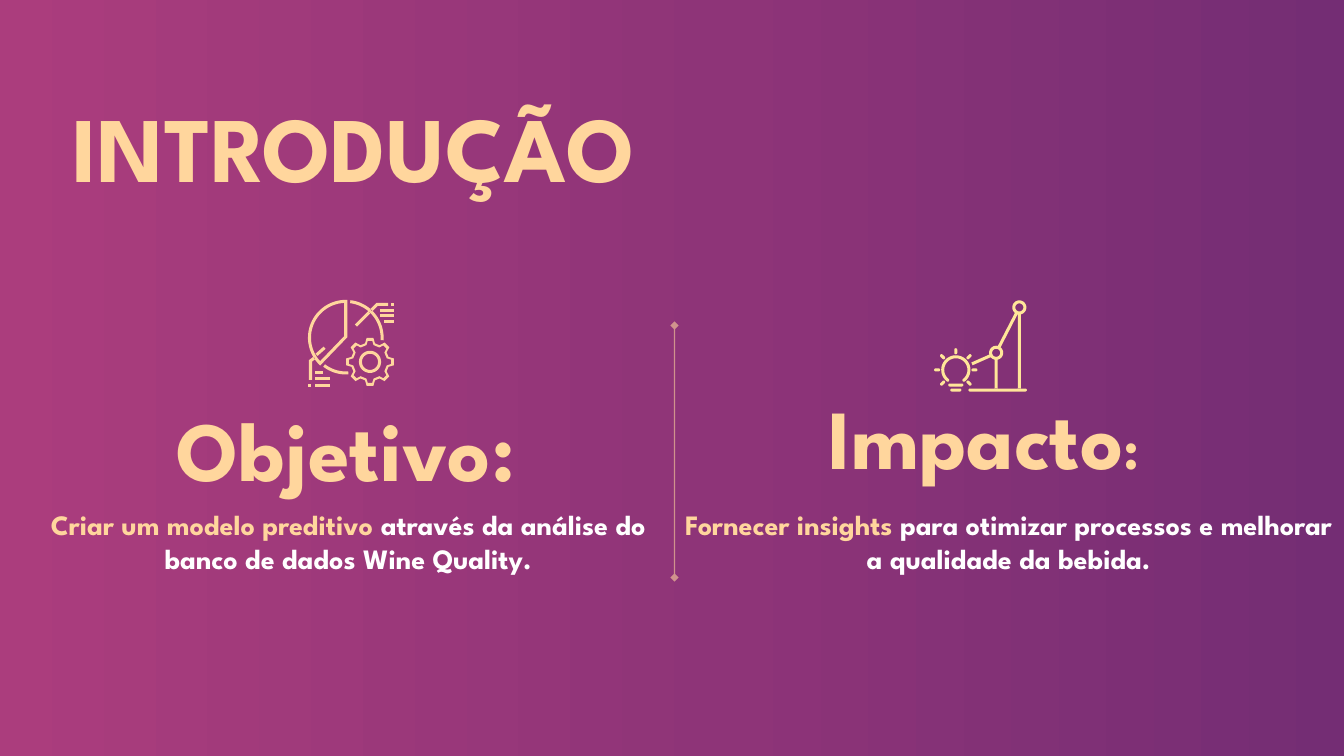
"""Build the introduction slide with its goal and impact columns."""
from copy import deepcopy
from dataclasses import dataclass
from math import cos, hypot, pi, radians, sin, atan2

from lxml.etree import SubElement
from pptx import Presentation
from pptx.dml.color import RGBColor
from pptx.enum.shapes import MSO_CONNECTOR
from pptx.enum.text import MSO_ANCHOR, MSO_AUTO_SIZE, PP_ALIGN
from pptx.oxml.ns import qn
from pptx.util import Inches, Pt

Point = tuple[float, float]
Contour = list[Point]


@dataclass(frozen=True)
class Theme:
    font: str = "League Spartan"
    gold: str = "FFD69D"
    lemon: str = "FFE699"
    white: str = "FFFFFF"
    gradient: tuple = ((0, "AB3D7D"), (0.54, "8E3478"), (1, "742D74"))
    title: int = 66
    heading: int = 60
    colon: int = 40
    body: int = 20
    stroke: float = 0.03


@dataclass(frozen=True)
class Span:
    text: str
    size: int
    color: str


@dataclass(frozen=True)
class TextBlock:
    left: float
    top: float
    width: float
    height: float
    spans: tuple[Span, ...]
    spacing: float = 1.0


THEME = Theme()
TITLE = TextBlock(0.62, 0.97, 12.06, 1.1, (Span("INTRODUÇÃO", THEME.title, THEME.gold),), 0.9)
BLOCKS = (
    TextBlock(6.67, 4.99, 6.67, 0.77, (
        Span("Fornecer insights ", THEME.body, THEME.gold),
        Span("para otimizar processos e melhorar a qualidade da bebida.", THEME.body, THEME.white))),
    TextBlock(5.86, 3.89, 7.73, 1.01, (
        Span(" Impacto", THEME.heading, THEME.gold),
        Span(": ", THEME.colon, THEME.gold)), 0.9),
    TextBlock(0.39, 4.99, 6.13, 0.77, (
        Span("Criar um modelo preditivo ", THEME.body, THEME.gold),
        Span("através da análise do banco de dados Wine Quality.", THEME.body, THEME.white))),
    TextBlock(1.03, 4.01, 4.8, 1.01, (Span("Objetivo:", THEME.heading, THEME.gold),), 0.9),
)


def write_text(box, block: TextBlock, align=PP_ALIGN.CENTER) -> None:
    frame = box.text_frame
    frame.word_wrap = True
    frame.auto_size = MSO_AUTO_SIZE.SHAPE_TO_FIT_TEXT
    frame.vertical_anchor = MSO_ANCHOR.TOP
    para = frame.paragraphs[0]
    para.alignment = align
    para.line_spacing = block.spacing
    para.space_before = Pt(0)
    for span in block.spans:
        run = para.add_run()
        run.text = span.text
        run.font.name = THEME.font
        run.font.size = Pt(span.size)
        run.font.bold = True
        run.font.color.rgb = RGBColor.from_string(span.color)


def paint_background(page) -> None:
    fill = page.background.fill
    fill.gradient()
    fill.gradient_angle = 0
    stops = page.element.find(".//" + qn("a:gsLst"))
    stops.append(deepcopy(stops[0]))
    for stop, (position, color) in zip(fill.gradient_stops, THEME.gradient):
        stop.position = position
        stop.color.rgb = RGBColor.from_string(color)


def draw_divider(page) -> None:
    divider = page.shapes.add_connector(
        MSO_CONNECTOR.STRAIGHT, Inches(6.69), Inches(3.23), Inches(6.69), Inches(5.73))
    divider.line.color.rgb = RGBColor.from_string(THEME.gold)
    divider.line.width = Pt(1)
    line = divider.line._get_or_add_ln()
    SubElement(line.find(".//" + qn("a:srgbClr")), qn("a:alpha"), val="58000")
    for end in ("a:headEnd", "a:tailEnd"):
        SubElement(line, qn(end), type="diamond")
    SubElement(divider.element.spPr, qn("a:effectLst"))


def arc(center: Point, radius: float, start: float, stop: float, steps: int = 32) -> Contour:
    angles = [radians(start + (stop - start) * step / steps) for step in range(steps + 1)]
    return [(center[0] + radius * cos(angle), center[1] + radius * sin(angle)) for angle in angles]


def ring(center: Point, outer: float) -> list[Contour]:
    return [arc(center, outer, 0, 360), arc(center, outer - THEME.stroke, 360, 0)]


def normal(start: Point, end: Point) -> Point:
    across, down = end[0] - start[0], end[1] - start[1]
    length = hypot(across, down)
    return -down / length, across / length


def stroke(points: Contour, rounded: bool = False, closed: bool = False) -> list[Contour]:
    half = THEME.stroke / 2
    last = len(points) - 1
    sides: tuple[Contour, Contour] = ([], [])
    for index, (x, y) in enumerate(points):
        before = normal(points[index - 1], (x, y)) if index or closed else None
        after = normal((x, y), points[(index + 1) % (last + 1)]) if index < last or closed else None
        first, second = before or after, after or before
        scale = half / (1 + first[0] * second[0] + first[1] * second[1])
        shift = (first[0] + second[0]) * scale, (first[1] + second[1]) * scale
        for side, sign in zip(sides, (1, -1)):
            side.append((x + sign * shift[0], y + sign * shift[1]))
    if closed:
        return [sides[0], sides[1][::-1]]
    caps: list[Contour] = [[], []]
    if rounded:
        for index, (inner, end) in enumerate(((points[-2], points[-1]), (points[1], points[0]))):
            heading = atan2(end[1] - inner[1], end[0] - inner[0]) * 180 / pi
            caps[index] = arc(end, half, heading + 90, heading - 90, 6)
    return [sides[0] + caps[0] + sides[1][::-1] + caps[1]]


def gear_outline(center: Point, tip: float, root: float, tip_half: float, root_half: float) -> Contour:
    corners = ((root, -root_half), (tip, -tip_half), (tip, tip_half), (root, root_half))
    return [arc(center, radius, tooth * 45 + offset, 0, 1)[0]
            for tooth in range(8) for radius, offset in corners]


def bulb_pieces() -> list[list[Contour]]:
    center = (9.48, 3.67)
    bars = [stroke([(9.48 - half, y), (9.48 + half, y)], True) for half, y in ((0.06, 3.82), (0.04, 3.87))]
    glass = stroke(arc(center, 0.13, 128, 412), True)
    rays = [stroke([arc(center, radius, angle, angle, 1)[0] for radius in (0.17, 0.2)], True)
            for angle in range(135, 406, 45)]
    return bars + [glass] + rays


def chart_piece() -> list[Contour]:
    lines = [
        [(9.62, 3.87), (10.17, 3.87)],
        [(9.64, 3.61), (9.82, 3.53)],
        [(9.91, 3.44), (10.08, 3.11)],
        [(9.88, 3.57), (9.88, 3.86)],
        [(10.11, 3.12), (10.11, 3.86)],
    ]
    contours = ring((10.11, 3.05), 0.07) + ring((9.88, 3.5), 0.07)
    for index, line in enumerate(lines):
        contours += stroke(line, rounded=index == 0)
    return contours


def analysis_pieces() -> list[list[Contour]]:
    center, hub = (3.43, 3.35), (3.67, 3.59)
    gear = [gear_outline(hub, 0.24, 0.19, 8, 15),
            gear_outline(hub, 0.21, 0.17, 6, 12)[::-1]]
    wedge = stroke(arc(center, 0.36, 270, 135) + [(3.43, 3.34)], closed=True)
    wedge += stroke([(3.08, 3.77), (3.08, 3.58), (3.12, 3.55)]) + stroke([(3.14, 3.52), (3.22, 3.45)])
    lower_arc = stroke(arc(center, 0.35, 128, 86))
    upper_arc = stroke(arc(center, 0.36, 277, 364))
    upper_arc += stroke([(3.53, 3.23), (3.66, 3.1)]) + stroke([(3.68, 3.08), (3.74, 3.02), (3.85, 3.02)])
    labels = ((3.88, 3.91, 3.02), (3.77, 3.91, 3.08), (3.77, 3.91, 3.13), (3.81, 3.91, 3.19),
              (3.06, 3.09, 3.82), (3.12, 3.27, 3.76), (3.12, 3.2, 3.7), (3.12, 3.27, 3.82))
    bars = [stroke([(left, y), (right, y)]) for left, right, y in labels]
    return [gear, ring(hub, 0.11), wedge, lower_arc, upper_arc] + bars


def draw_icon(page, pieces: list[list[Contour]], color: str) -> None:
    group = page.shapes.add_group_shape()
    for contours in pieces:
        corners = [[(Inches(x), Inches(y)) for x, y in contour] for contour in contours]
        builder = group.shapes.build_freeform(*corners[0][0])
        for index, contour in enumerate(corners):
            if index:
                builder.move_to(*contour[0])
            builder.add_line_segments(contour[1:], close=True)
        shape = builder.convert_to_shape()
        shape.shadow.inherit = False
        shape.fill.solid()
        shape.fill.fore_color.rgb = RGBColor.from_string(color)
        shape.line.fill.background()


def main() -> None:
    deck = Presentation()
    deck.slide_width, deck.slide_height = Inches(13.33), Inches(7.5)
    page = deck.slides.add_slide(deck.slide_layouts[5])
    paint_background(page)
    title = page.shapes.title
    title.left, title.top = Inches(TITLE.left), Inches(TITLE.top)
    title.width, title.height = Inches(TITLE.width), Inches(TITLE.height)
    write_text(title, TITLE, PP_ALIGN.LEFT)
    draw_divider(page)
    for block in BLOCKS:
        box = page.shapes.add_textbox(*map(Inches, (block.left, block.top, block.width, block.height)))
        write_text(box, block)
    draw_icon(page, bulb_pieces() + [chart_piece()], THEME.lemon)
    draw_icon(page, analysis_pieces(), THEME.gold)
    deck.save("out.pptx")


if __name__ == "__main__":
    main()
